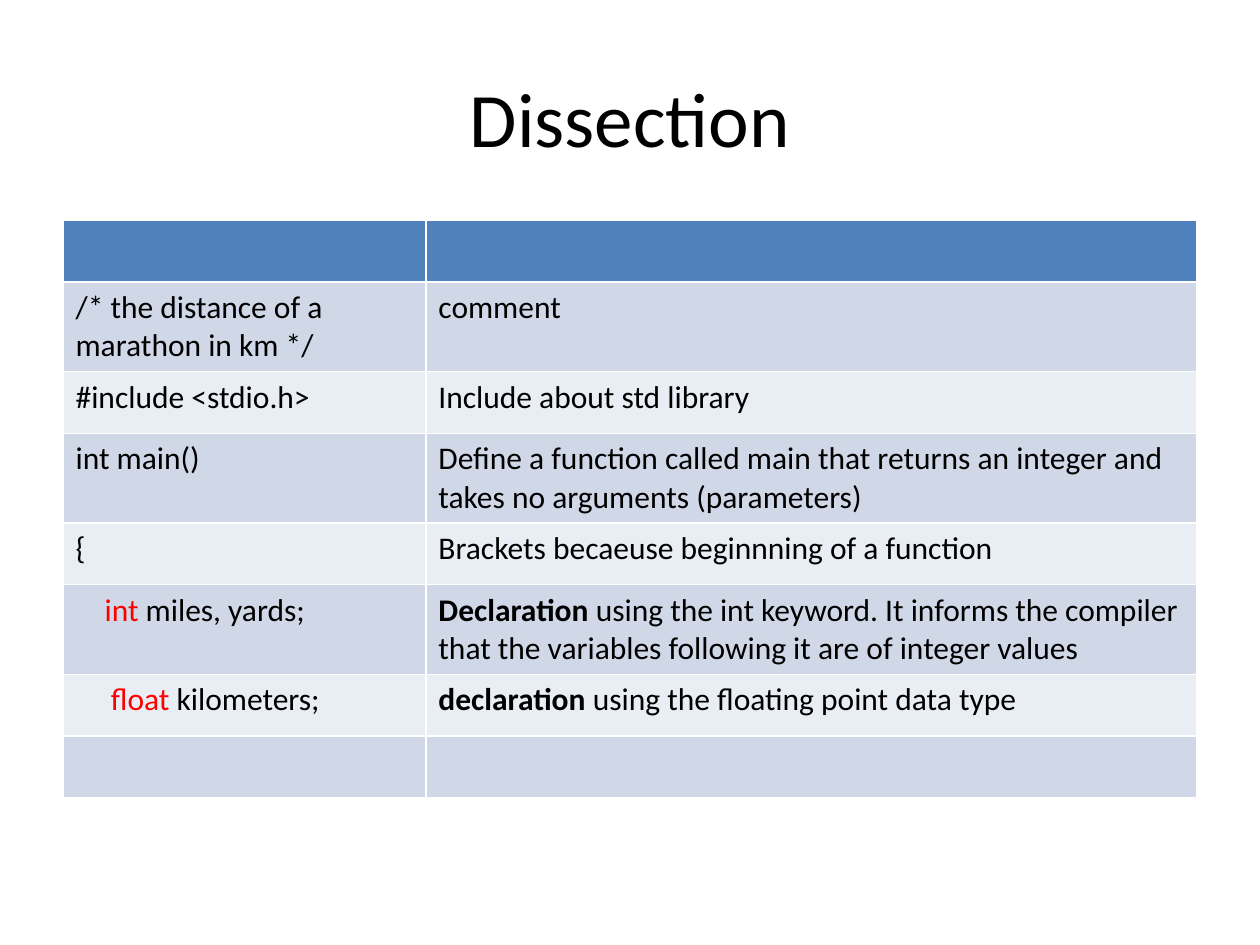
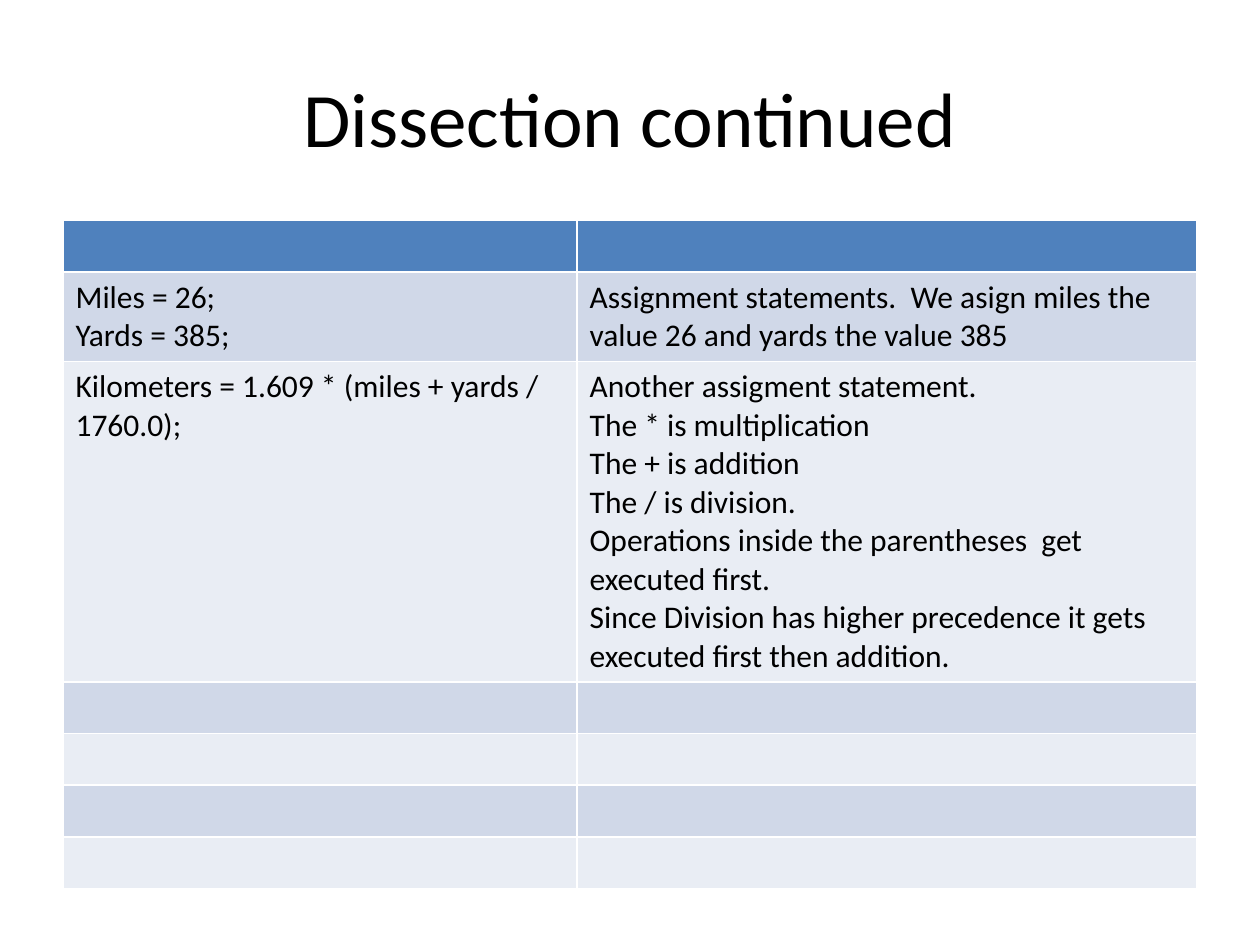
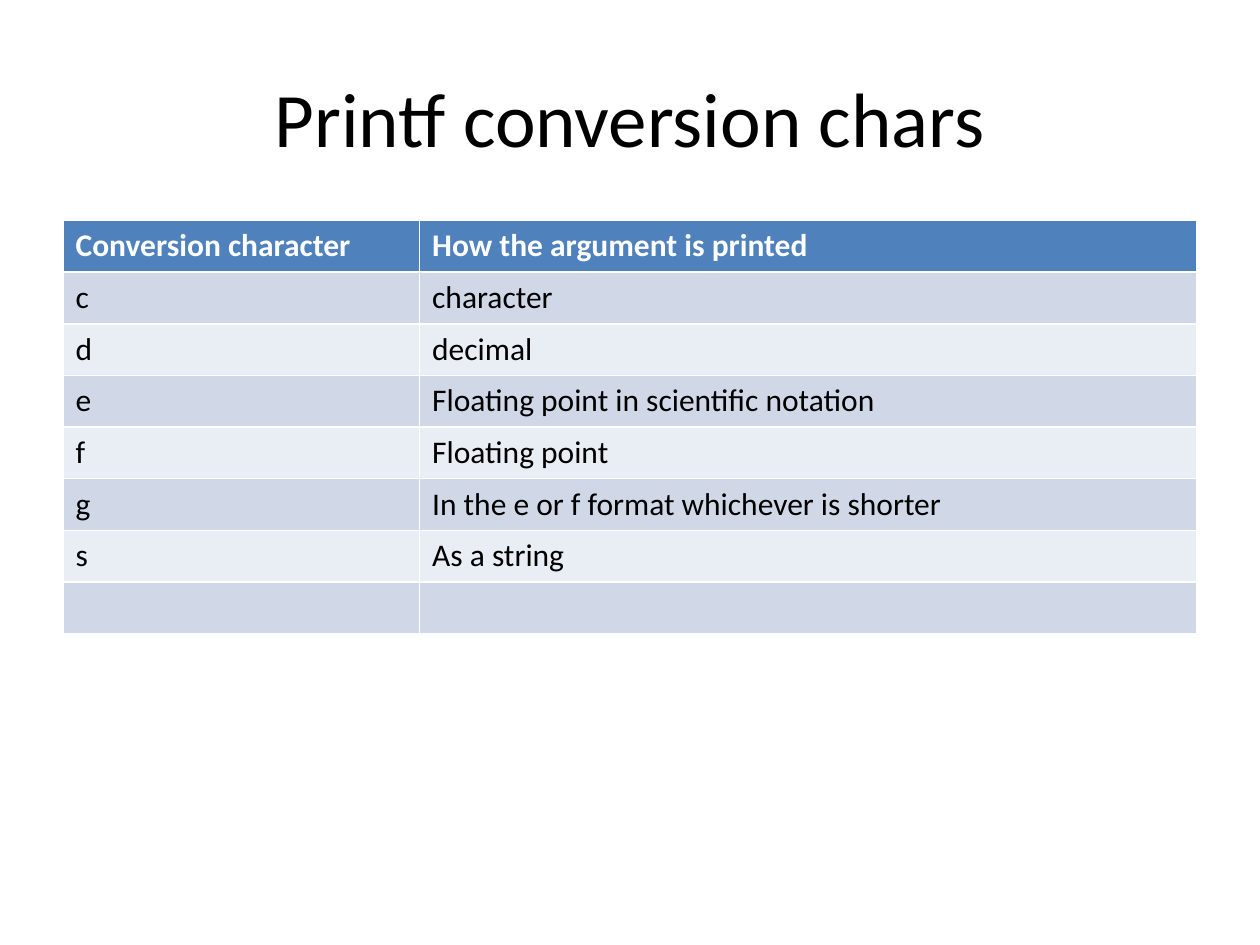
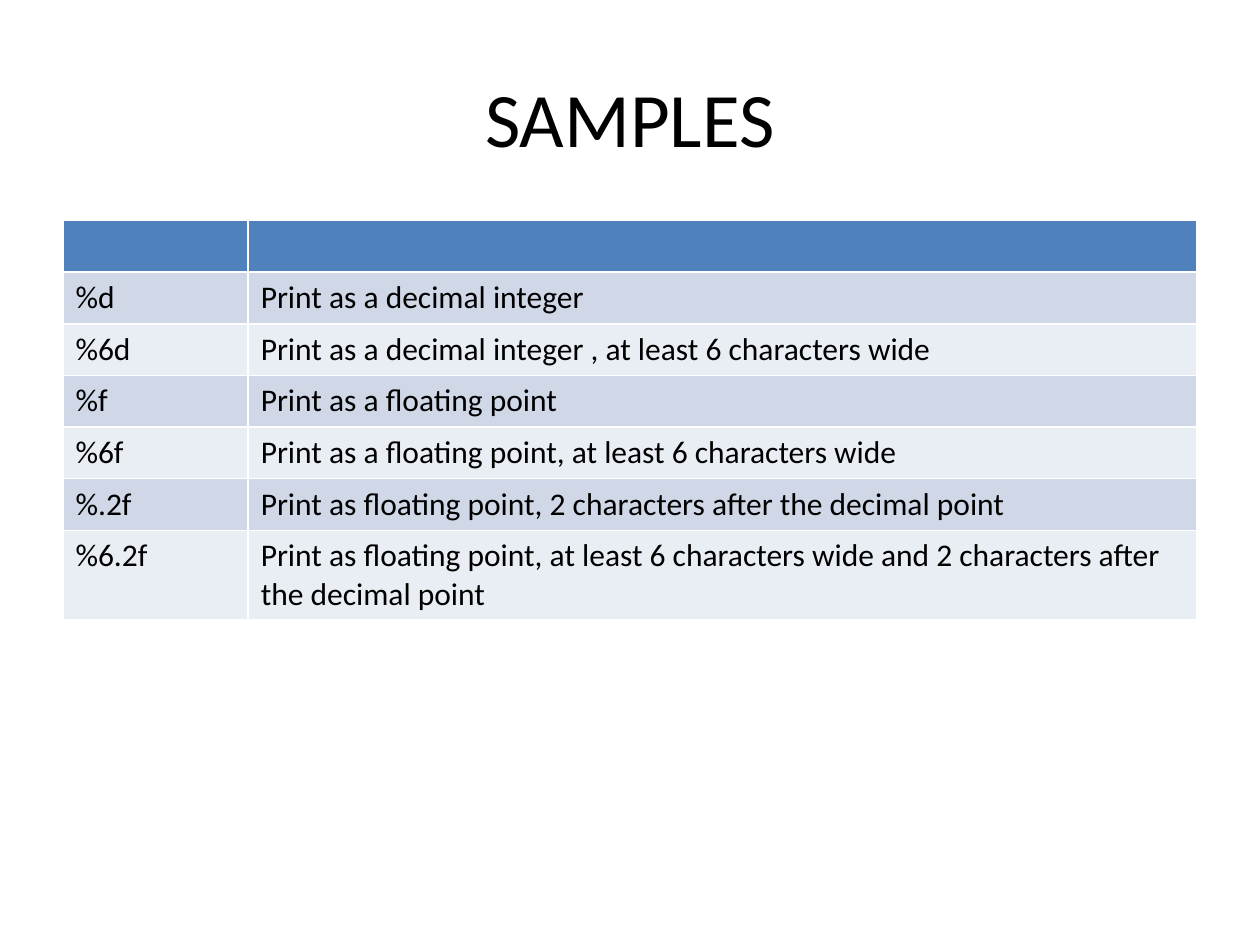
import dataclasses

import pptx
import pptx.dml.color
import pptx.enum.text
import pptx.util

Inches = pptx.util.Inches
Pt = pptx.util.Pt
rgb = pptx.dml.color.RGBColor.from_string


@dataclasses.dataclass(frozen=True)
class Theme:
    """Colours, font and type sizes shared by all slides."""
    font: str = "Calibri"
    title_size: int = 44
    cell_size: int = 18
    text: str = "000000"
    header_text: str = "FFFFFF"
    keyword: str = "FF0000"
    header: str = "4F81BD"
    bands: tuple = ("D0D8E8", "E9EDF4")


@dataclasses.dataclass(frozen=True)
class Box:
    """A region of the slide, in inches."""
    left: float
    top: float
    width: float
    height: float


@dataclasses.dataclass(frozen=True)
class Lead:
    """A paragraph whose first words stand out, with an optional indent."""
    lead: str
    rest: str
    color: str = None
    bold: bool = None
    indent: float = 0


THEME = Theme()
TITLE_BOX = Box(0.5, 0.3, 9, 1.25)
TABLE_LEFT, TABLE_TOP, TABLE_WIDTH = 0.5, 1.75, 9
CELL_MARGIN = 0.1
BLANK = ("", "")


def style_font(p, size, color, bold=None):
    """Set the font of a whole paragraph."""
    p.font.name = THEME.font
    p.font.size = Pt(size)
    p.font.color.rgb = rgb(color)
    p.font.bold = bold


def add_title(s, text, box):
    """Move and format the title placeholder."""
    sp = s.shapes.title
    sp.left, sp.top = Inches(box.left), Inches(box.top)
    sp.width, sp.height = Inches(box.width), Inches(box.height)
    tf = sp.text_frame
    tf.vertical_anchor = pptx.enum.text.MSO_ANCHOR.MIDDLE
    p = tf.paragraphs[0]
    p.text = text
    p.alignment = pptx.enum.text.PP_ALIGN.CENTER
    style_font(p, THEME.title_size, THEME.text)


def fill_cell(cell, content, fill, color, bold=None):
    """Colour a cell and write its text; a newline starts a paragraph."""
    cell.fill.solid()
    cell.fill.fore_color.rgb = rgb(fill)
    tf = cell.text_frame
    if isinstance(content, Lead):
        cell.margin_left = Inches(CELL_MARGIN + content.indent)
        p = tf.paragraphs[0]
        r = p.add_run()
        r.text = content.lead
        r.font.bold = content.bold
        if content.color:
            r.font.color.rgb = rgb(content.color)
        p.add_run().text = content.rest
    else:
        tf.text = content
    for p in tf.paragraphs:
        style_font(p, THEME.cell_size, color, bold)


def add_grid(s, rows, box, first_width):
    """Add a two-column table with a header row and banded body rows."""
    table = s.shapes.add_table(
        len(rows), 2, Inches(box.left), Inches(box.top),
        Inches(box.width), Inches(box.height)).table
    table.columns[0].width = Inches(first_width)
    table.columns[1].width = Inches(box.width - first_width)
    for i, row in enumerate(rows):
        table.rows[i].height = Inches(box.height / len(rows))
        for j, content in enumerate(row):
            cell = table.cell(i, j)
            if i == 0:
                fill_cell(cell, content, THEME.header, THEME.header_text, True)
            else:
                band = THEME.bands[(i - 1) % len(THEME.bands)]
                fill_cell(cell, content, band, THEME.text)


def table_slide(prs, title, rows, first_width, row_height=0.41):
    """Add a slide made of a title and a table."""
    s = prs.slides.add_slide(prs.slide_layouts.get_by_name("Title Only"))
    add_title(s, title, TITLE_BOX)
    box = Box(TABLE_LEFT, TABLE_TOP, TABLE_WIDTH, row_height * len(rows))
    add_grid(s, rows, box, first_width)


DISSECTION = [
    BLANK,
    ("/* the distance of a marathon in km */", "comment"),
    ("#include <stdio.h>", "Include about std library"),
    ("int main()", "Define a function called main that returns an integer "
                   "and takes no arguments (parameters)"),
    ("{", "Brackets becaeuse beginnning of a function"),
    (Lead("int ", "miles, yards;", color=THEME.keyword, indent=0.23),
     Lead("Declaration", " using the int keyword. It informs the compiler "
          "that the variables following it are of integer values", bold=True)),
    (Lead("float ", "kilometers;", color=THEME.keyword, indent=0.28),
     Lead("declaration ", "using the floating point data type", bold=True)),
    BLANK,
]

CONTINUED = [
    BLANK,
    ("Miles = 26;\nYards = 385;",
     "Assignment statements.  We asign miles the value 26 and yards "
     "the value 385"),
    ("Kilometers = 1.609 * (miles + yards / 1760.0);",
     "Another assigment statement.\n"
     "The * is multiplication\n"
     "The + is addition\n"
     "The / is division.\n"
     "Operations inside the parentheses  get executed first.\n"
     "Since Division has higher precedence it gets executed first "
     "then addition."),
] + [BLANK] * 4

CONVERSIONS = [
    ("Conversion character", "How the argument is printed"),
    ("c", "character"),
    ("d", "decimal"),
    ("e", "Floating point in scientific notation"),
    ("f", "Floating point"),
    ("g", "In the e or f format whichever is shorter"),
    ("s", "As a string"),
    BLANK,
]

SAMPLES = [
    BLANK,
    ("%d", "Print as a decimal integer"),
    ("%6d", "Print as a decimal integer , at least 6 characters wide"),
    ("%f", "Print as a floating point"),
    ("%6f", "Print as a floating point, at least 6 characters wide"),
    ("%.2f", "Print as floating point, 2 characters after the decimal point"),
    ("%6.2f", "Print as floating point, at least 6 characters wide and "
              "2 characters after the decimal point"),
]

prs = pptx.Presentation()
prs.slide_width, prs.slide_height = Inches(10), Inches(7.5)
table_slide(prs, "Dissection", DISSECTION, 2.88, row_height=0.49)
table_slide(prs, "Dissection continued", CONTINUED, 4.08)
table_slide(prs, "Printf conversion chars", CONVERSIONS, 2.83)
table_slide(prs, "SAMPLES", SAMPLES, 1.47)
prs.save("out.pptx")
